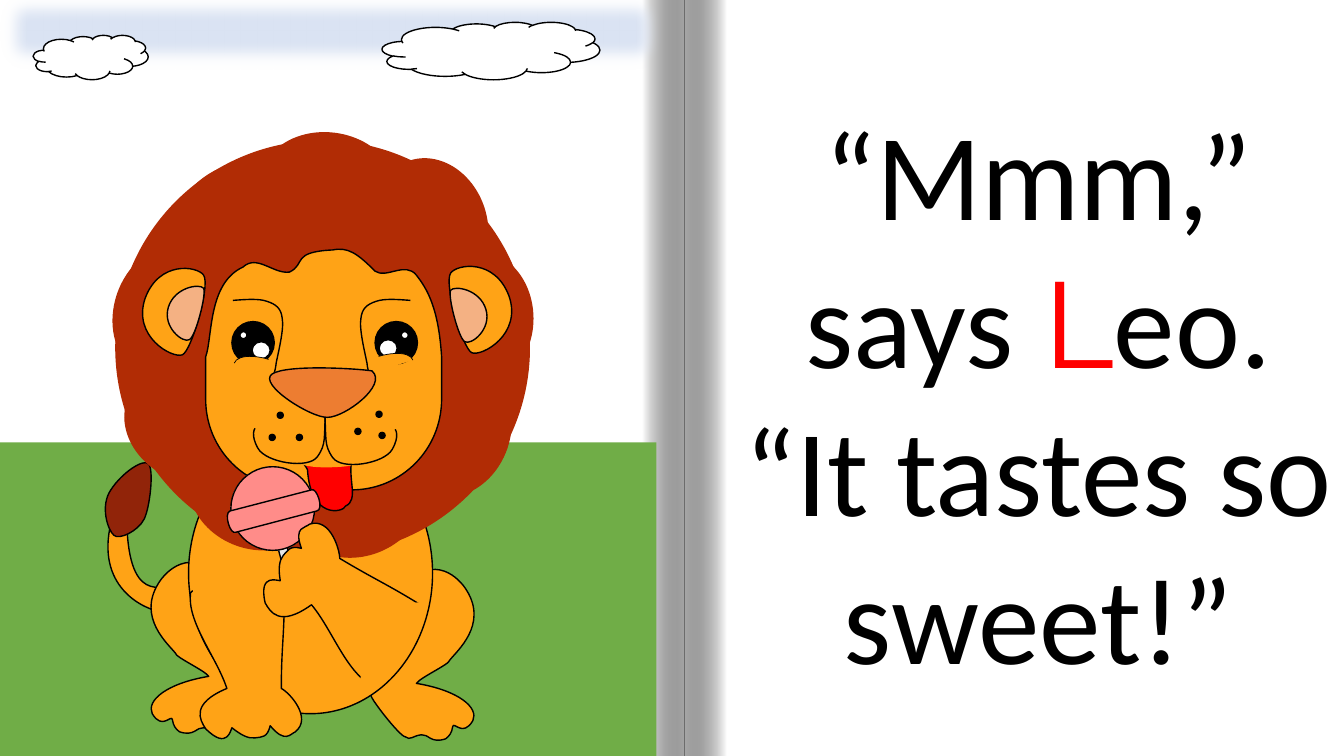
from lxml import etree
from pptx import Presentation
from pptx.dml.color import RGBColor
from pptx.enum.shapes import MSO_SHAPE
from pptx.enum.text import MSO_AUTO_SIZE, PP_ALIGN
from pptx.oxml.ns import qn
from pptx.util import Inches, Pt

RECT, OVAL, CLOUD = MSO_SHAPE.RECTANGLE, MSO_SHAPE.OVAL, MSO_SHAPE.CLOUD
ROUND, ARC = MSO_SHAPE.ROUNDED_RECTANGLE, MSO_SHAPE.ARC
GROW, CENTER = MSO_AUTO_SIZE.SHAPE_TO_FIT_TEXT, PP_ALIGN.CENTER

COLORS = {
    "black": "000000", "white": "FFFFFF", "sky": "DAE3F3", "grass": "70AD47",
    "fur": "FFA316", "mane": "B12C05", "tuft": "912409", "ear": "F4B183",
    "nose": "ED7D31", "red": "FF0000", "stick": "E7E6E6", "candy": "FF8C89",
    "shine": "F6F8FC",
}
W, H = 13.33, 7.5
UNITS = 1000  # outline units per inch

prs = Presentation()
prs.slide_width, prs.slide_height = Inches(W), Inches(H)
s = prs.slides.add_slide(prs.slide_layouts[6])


def outline(steps, closed, mirror=None, dy=0):
    """Freeform from steps: 2 numbers are a straight step, 6 a Bezier step.
    mirror is the sum of the x values of two mirrored points."""
    parts = []
    for step in steps.split("/"):
        n = [float(v) for v in step.split()]
        parts.append([((x if mirror is None else mirror - x) * UNITS, (y + dy) * UNITS)
                      for x, y in zip(n[::2], n[1::2])])
    pts = [parts[0][0]]  # points on the curve give the frame
    for part in parts[1:]:
        if len(part) == 3:
            ctrl = [pts[-1], *part]
            for t in (0.2, 0.35, 0.5, 0.65, 0.8):
                weights = ((1 - t) ** 3, 3 * t * (1 - t) ** 2, 3 * t * t * (1 - t), t ** 3)
                pts.append(tuple(sum(w * c[k] for w, c in zip(weights, ctrl)) for k in (0, 1)))
        pts.append(part[-1])
    builder = s.shapes.build_freeform(*pts[0], scale=914400 / UNITS)
    builder.add_line_segments(pts[1:], close=closed)
    sp = builder.convert_to_shape()
    # Replace the straight pieces by true curves
    left, top = (min(pt[k] for pt in pts) for k in (0, 1))
    route = sp._element.spPr.find(".//" + qn("a:path"))
    for old in list(route):
        route.remove(old)
    for i, part in enumerate(parts):
        tag = "a:moveTo" if i == 0 else "a:cubicBezTo" if len(part) == 3 else "a:lnTo"
        node = etree.SubElement(route, qn(tag))
        for x, y in part:
            etree.SubElement(node, qn("a:pt"), x=str(round(x - left)), y=str(round(y - top)))
    if closed:
        etree.SubElement(route, qn("a:close"))
    return sp


def draw(kind, box, fill, line="black", rot=0, width=1, angle=0, mirror=None, dy=0):
    """Draw and style a preset in box, or (kind None) an outline through box's steps."""
    if kind is None:
        sp = outline(box, fill is not None, mirror, dy)
    else:
        sp = s.shapes.add_shape(kind, *map(Inches, box))
    sp.shadow.inherit = False
    sp.rotation = rot
    if fill is None:
        sp.fill.background()
    elif isinstance(fill, str):
        sp.fill.solid()
        sp.fill.fore_color.rgb = RGBColor.from_string(COLORS[fill])
    else:
        sp.fill.gradient()
        sp.fill.gradient_angle = angle
        for stop, (position, color) in zip(sp.fill.gradient_stops, fill):
            stop.position = position
            stop.color.rgb = RGBColor.from_string(COLORS[color])
    if line is None:
        sp.line.fill.background()
    else:
        sp.line.color.rgb = RGBColor.from_string(COLORS[line])
        sp.line.width = Pt(width)
    return sp


# Open book: white page and shaded spine
s.background.fill.solid()
s.background.fill.fore_color.rgb = RGBColor.from_string(COLORS["black"])
draw(RECT, (0, 0, W, H), "white", None)
SPINE, SHADE = 6.79, 0.42
for left, angle in ((SPINE, 180), (SPINE - SHADE, 0)):
    sp = draw(RECT, (left, 0, SHADE, H), ((0, "white"), (1, "black")), None, angle=angle)
    dark = sp._element.spPr.findall(".//" + qn("a:srgbClr"))[-1]
    etree.SubElement(dark, qn("a:alpha"), val="34000")

# Story text
tb = s.shapes.add_textbox(Inches(7.16), Inches(0.92), Inches(6.28), Inches(6.02))
tf = tb.text_frame
tf.word_wrap = True
tf.auto_size = GROW
p = tf.paragraphs[0]
p.alignment = CENTER
p.font.size = Pt(88)
for text, font, color in (("“Mmm,” says ", "Calibri", "black"), ("L", "Montserrat", "red"),
                          ("eo. “It tastes so sweet!”", "Calibri", "black")):
    r = p.add_run()
    r.text = text
    r.font.name = font
    r.font.color.rgb = RGBColor.from_string(COLORS[color])

# Sky with soft edges, clouds, grass
sp = draw(RECT, (-0.05, -0.12, 6.67, 0.85), "sky", "sky")
etree.SubElement(sp._element.spPr.find(qn("a:effectLst")), qn("a:softEdge"), rad="158750")
for box in ((0.33, 0.35, 1.14, 0.44), (3.79, 0.22, 2.16, 0.57)):
    draw(CLOUD, box, "white")
draw(RECT, (-0.01, 4.39, 6.52, 4.16), "grass", None)

# Tail, hind legs, body
draw(None, "1.6 6.07/1.45 6.05 0.97 5.85 1.09 5.24/1.26 5.24/1.3 6.08 1.68 5.73 1.75 5.86/"
     "1.76 5.87 1.69 6.05 1.68 6.06/1.6 6.13/1.59 6.14 1.61 6.08 1.6 6.07", "fur")
draw(None, "1.43 5.15/1.49 5.03 1.53 4.64 1.47 4.6/1.42 4.55 1.21 4.69 1.1 4.86/"
     "0.99 5.02 1.07 5.26 1.13 5.31/1.18 5.36 1.37 5.27 1.43 5.15", "tuft")
for mirror, dy in ((6.2, 0.07), (None, 0)):
    draw(None, "2.21 5.83/2.21 5.78 2.23 5.74 2.19 5.74/1.89 5.41 1.64 5.67 1.57 5.79/"
         "1.36 6.13 1.67 6.39 1.74 6.48/1.74 6.52 2.03 6.65 2.07 6.71/"
         "1.65 6.78 1.45 6.95 1.51 7.08/1.61 7.25 1.7 7.08 1.71 7.14/"
         "1.72 7.2 1.74 7.23 1.78 7.26/1.93 7.31 1.95 7.21 2.02 7.22/"
         "2.11 7.23 2.13 7.28 2.18 7.24/2.23 7.24 2.52 6.87 2.52 6.83/"
         "2.52 6.61 2.21 6.04 2.21 5.83", "fur", mirror=mirror, dy=dy)
draw(OVAL, (1.87, 4.29, 2.42, 2.79), "fur")

# Mane: one big disc and a ring of tufts
draw(OVAL, (1.15, 1.4, 4.1, 4.1), "mane", "mane")
for x, y, h, rot in ((1.87, 4.34, 1.1, 19.4), (2.89, 4.41, 1.1, 338.3), (3.84, 3.72, 1.1, 289.4),
                     (4.07, 2.61, 1.1, 270), (3.61, 1.68, 1.1, 251.6), (1.22, 3.67, 1.1, 25.6),
                     (1, 2.56, 1.05, 289.4), (1.62, 1.71, 1.05, 311), (2.59, 1.32, 1.05, 7.1)):
    draw(OVAL, (x, y, 1.33, h), "mane", "mane", rot)

# Face and brows
draw(None, "2.04 3.54/2.11 3.35 2.06 2.81 2.41 2.65/2.55 2.52 2.71 2.72 2.87 2.7/"
     "3.04 2.62 2.88 2.5 3.3 2.48/3.45 2.45 3.54 2.51 3.72 2.69/"
     "3.83 2.77 4.02 2.59 4.13 2.73/4.24 2.87 4.35 3.06 4.38 3.54/4.38 3.96/"
     "4.38 4.46 3.98 4.86 3.49 4.86/2.94 4.86/2.44 4.86 2.04 4.46 2.04 3.96/2.04 3.54", "fur")
for mirror in (None, 6.38):
    draw(None, "4.07 2.98/3.94 2.97 3.81 2.96 3.73 2.99/3.64 3.02 3.59 3.06 3.58 3.16/"
         "3.56 3.26 3.62 3.5 3.64 3.6/3.65 3.7 3.68 3.75 3.68 3.75", None, mirror=mirror)

# Eyes: pupil, large glint, small glint
for pupil, glint, spark in (((3.72, 3.19), (3.76, 3.37), 3.98), ((2.3, 3.19), (2.5, 3.39), 2.38)):
    draw(OVAL, (*pupil, 0.42, 0.42), "black")
    draw(OVAL, (*glint, 0.18, 0.17), "white")
    draw(OVAL, (spark, 3.29, 0.07, 0.07), "white")

# Whisker dots
for x, y in ((3.76, 4.29), (3.52, 4.25), (3.73, 4.08), (2.94, 4.31), (2.67, 4.31), (2.75, 4.09)):
    draw(OVAL, (x, y, 0.06, 0.06), "black")

# Ears
for mirror, dy in ((None, 0), (6.49, -0.02)):
    draw(None, "1.44 2.96/1.58 2.58 1.96 2.64 2.02 2.73/2.09 2.83 1.9 3.48 1.81 3.52/"
         "1.71 3.56 1.31 3.34 1.44 2.96", "fur", mirror=mirror, dy=dy)
    draw(None, "1.67 3.05/1.73 2.85 1.98 2.81 2.02 2.86/2.05 2.92 1.94 3.34 1.88 3.37/"
         "1.82 3.41 1.61 3.25 1.67 3.05", "ear", mirror=mirror, dy=-dy)

# Front leg, with its top blended into the chest
draw(None, "2.82 5.9/2.82 5.86 2.66 5.86 2.61 5.86/2.29 5.86/2.25 5.86 1.89 5.83 1.89 5.88/"
     "1.85 6.17 2.15 6.52 2.25 6.83/1.89 6.98 1.98 7.14 2.04 7.23/"
     "2.26 7.45 2.29 7.23 2.3 7.22/2.39 7.29 2.46 7.33 2.53 7.32/"
     "2.6 7.31 2.65 7.32 2.68 7.2/2.83 7.38 2.88 7.28 2.93 7.26/"
     "3.1 7.12 2.87 6.87 2.79 6.83/2.79 6.42 2.82 6.31 2.82 5.9", "fur")
draw(OVAL, (1.92, 5.54, 0.97, 0.7), "fur", "fur", 7.3)

# Tongue
draw(None, "3.05 4.66/2.97 4.5 2.84 4.61 3.49 4.57/3.45 4.75 3.56 4.96 3.43 5.02/"
     "3.4 5.09 3.08 5.15 3.05 4.66", "red")

# Lollipop
draw(ROUND, (2.83, 5.37, 0.09, 0.68), "stick", rot=345.4)
draw(OVAL, (2.29, 4.63, 0.83, 0.83), ((0, "shine"), (0.23, "candy")), rot=345.4, angle=300)
draw(None, "2.34 5.28/2.28 5.31 2.22 5.09 2.28 5.07/3.09 4.86/3.14 4.83 3.22 5.06 3.14 5.07/"
     "2.34 5.28", ((0.92, "candy"), (1, "shine")), angle=300)

# Arm holding the lollipop
draw(None, "4.17 6/4.21 6.02 4.13 6.16 4.1 6.2/3.94 6.47/3.91 6.51 3.75 6.83 3.71 6.81/"
     "3.44 6.69 3.3 6.25 3.09 6/2.77 6.23 2.68 6.07 2.63 5.98/"
     "2.56 5.67 2.77 5.77 2.78 5.76/2.76 5.64 2.77 5.56 2.81 5.51/"
     "2.86 5.46 2.87 5.41 2.99 5.44/2.91 5.22 3.03 5.24 3.07 5.2/"
     "3.28 5.13 3.37 5.46 3.37 5.54/3.72 5.75 3.83 5.79 4.17 6", "fur")

# Muzzle, mouth and nose
draw(None, "3.53 4.59/3.52 4.63 3.17 4.64 3.08 4.62/2.98 4.61 2.96 4.58 2.96 4.51/"
     "2.95 4.43 3 4.34 3.1 4.36/3.19 4.37 3.53 4.54 3.53 4.59", "fur", "fur")
for mirror, dy in ((None, 0), (6.45, 0.01)):
    draw(None, "3.23 4.08/3.21 4.35 3.24 4.4 3.15 4.53/3.06 4.66 2.64 4.59 2.56 4.45/"
         "2.48 4.31 2.53 4.25 2.53 4.25", None, mirror=mirror, dy=dy)
draw(None, "2.7 3.71/2.55 3.81 3.09 4.15 3.25 4.14/3.42 4.14 3.85 3.82 3.69 3.68/"
     "3.59 3.66 2.85 3.61 2.7 3.71", "nose")

# Cheeks under the eyes: quarter arcs, the left one facing the other way
draw(ARC, (3.48, 3.53, 0.63, 0.27), "fur", rot=342.9, width=0.5)
sp = draw(ARC, (2.31, 3.56, 0.63, 0.27), "fur", rot=17.1, width=0.5)
sp.adjustments[0], sp.adjustments[1] = 108, 162

# Shoulder blended into the body
draw(None, "4.23 5.99/4.27 6.01 4.11 6.3 4.09 6.34/3.92 6.6/3.9 6.64 3.7 6.88 3.67 6.85/"
     "3.39 6.74 3.87 6.49 3.66 6.24/3.76 6.08 4.06 5.95 4.23 5.99", "fur", "fur")

prs.save("out.pptx")
